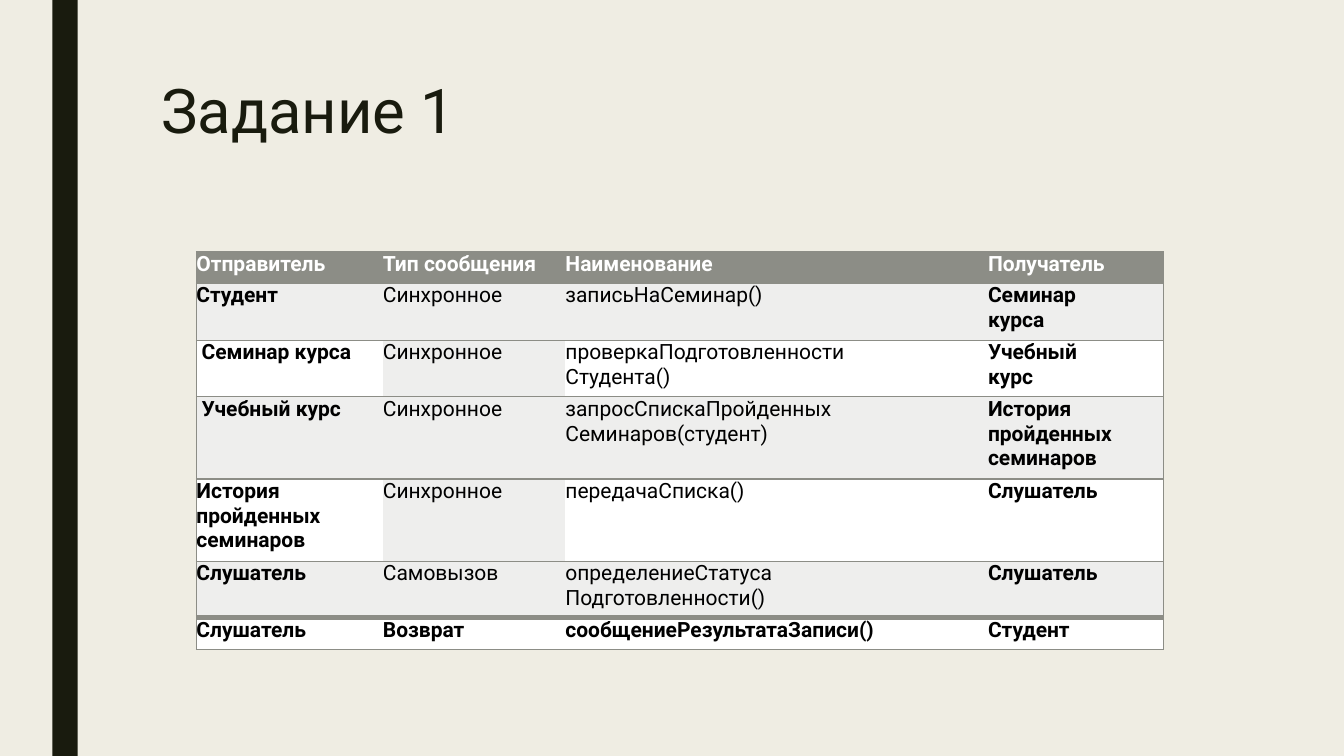
from dataclasses import dataclass

from lxml import etree
from pptx import Presentation
from pptx.dml.color import RGBColor
from pptx.enum.shapes import MSO_SHAPE
from pptx.enum.text import MSO_ANCHOR, MSO_AUTO_SIZE, PP_ALIGN
from pptx.oxml.ns import qn
from pptx.util import Cm, Pt

RECTANGLE = MSO_SHAPE.RECTANGLE
TOP = MSO_ANCHOR.TOP
NO_AUTOFIT = MSO_AUTO_SIZE.NONE
LEFT = PP_ALIGN.LEFT
JUSTIFY = PP_ALIGN.JUSTIFY
TITLE_ONLY = 5


@dataclass(frozen=True)
class Theme:
    font: str = "Roboto"
    title_size: int = 44
    table_size: int = 15
    background: str = "EFEDE3"
    dark: str = "191B0E"
    grey: str = "8C8D86"
    band: str = "EEEEED"
    white: str = "FFFFFF"
    black: str = "000000"
    thin_line: int = 1
    thick_line: int = 4


THEME = Theme()

# Each line break starts a new paragraph
MESSAGES = [
    ("Отправитель", "Тип сообщения", "Наименование", "Получатель"),
    ("Студент", "Синхронное", "записьНаСеминар()", "Семинар\nкурса"),
    (" Семинар курса", "Синхронное", "проверкаПодготовленности\nСтудента()", "Учебный\nкурс"),
    (" Учебный курс", "Синхронное", "запросСпискаПройденных Семинаров(студент)",
     "История\nпройденных семинаров"),
    ("История пройденных\nсеминаров", "Синхронное", "передачаСписка()", "Слушатель"),
    ("Слушатель", "Самовызов", "определениеСтатуса\nПодготовленности()", "Слушатель"),
    ("Слушатель", "Возврат", "сообщениеРезультатаЗаписи()", "Студент"),
]
COLUMN_WIDTHS = (4.7, 4.6, 10.65, 4.43)
ROW_HEIGHTS = (0.79, 1.43, 1.43, 2.07, 2.07, 1.43, 0.79)
LAST_ROW = len(MESSAGES) - 1
LAST_COLUMN = len(COLUMN_WIDTHS) - 1


def color(value):
    return RGBColor.from_string(value)


def format_runs(paragraph, size, text_color, bold=False):
    for run in paragraph.runs:
        run.font.name = THEME.font
        run.font.size = Pt(size)
        run.font.bold = bold
        run.font.color.rgb = color(text_color)


def add_side_bar(slide, left, top, width, height):
    bar = slide.shapes.add_shape(RECTANGLE, left, top, width, height)
    bar.shadow.inherit = False
    bar.fill.solid()
    bar.fill.fore_color.rgb = color(THEME.dark)
    bar.line.fill.background()


def place_title(slide, text, left, top, width, height):
    title = slide.shapes.title
    title.left, title.top, title.width, title.height = left, top, width, height
    frame = title.text_frame
    frame.text = text
    frame.word_wrap = True
    frame.auto_size = NO_AUTOFIT
    frame.vertical_anchor = TOP
    paragraph = frame.paragraphs[0]
    paragraph.alignment = LEFT
    paragraph.line_spacing = 0.89
    format_runs(paragraph, THEME.title_size, THEME.dark)


def set_borders(cell, row, column):
    top = THEME.thick_line if row == LAST_ROW else THEME.thin_line
    bottom = THEME.thick_line if row == LAST_ROW - 1 else THEME.thin_line
    left = THEME.thin_line if column == 0 else 0
    right = THEME.thin_line if column == LAST_COLUMN else 0
    properties = cell._tc.get_or_add_tcPr()
    for side, width in (("L", left), ("R", right), ("T", top), ("B", bottom)):
        line = etree.SubElement(properties, qn(f"a:ln{side}"), w=str(Pt(width)))
        if width:
            fill = etree.SubElement(line, qn("a:solidFill"))
            etree.SubElement(fill, qn("a:srgbClr"), val=THEME.grey)
        else:
            etree.SubElement(line, qn("a:noFill"))


def cell_fill(row, column):
    if row == 0:
        return THEME.grey
    if row % 2 or (column == 1 and row < LAST_ROW):
        return THEME.band
    return THEME.white


def format_cell(cell, text, row, column):
    cell.margin_left = cell.margin_right = cell.margin_top = cell.margin_bottom = 0
    # Borders stand before the fill in the cell properties
    set_borders(cell, row, column)
    cell.fill.solid()
    cell.fill.fore_color.rgb = color(cell_fill(row, column))
    cell.text_frame.text = text
    bold = row in (0, LAST_ROW) or column in (0, LAST_COLUMN)
    text_color = THEME.white if row == 0 else THEME.black
    for paragraph in cell.text_frame.paragraphs:
        paragraph.alignment = JUSTIFY
        format_runs(paragraph, THEME.table_size, text_color, bold)


def add_message_table(slide, left, top):
    width, height = Cm(sum(COLUMN_WIDTHS)), Cm(sum(ROW_HEIGHTS))
    table = slide.shapes.add_table(
        len(MESSAGES), len(COLUMN_WIDTHS), left, top, width, height).table
    for column, column_width in zip(table.columns, COLUMN_WIDTHS):
        column.width = Cm(column_width)
    for row, row_height in zip(table.rows, ROW_HEIGHTS):
        row.height = Cm(row_height)
    for row, message in enumerate(MESSAGES):
        for column, text in enumerate(message):
            format_cell(table.cell(row, column), text, row, column)


def main():
    presentation = Presentation()
    presentation.slide_width = Cm(33.87)
    presentation.slide_height = Cm(19.05)
    slide = presentation.slides.add_slide(presentation.slide_layouts[TITLE_ONLY])
    slide.background.fill.solid()
    slide.background.fill.fore_color.rgb = color(THEME.background)

    # Bar down the left side
    add_side_bar(slide, Cm(1.32), Cm(0), Cm(0.64), presentation.slide_height)
    # Heading
    place_title(slide, "Задание 1", Cm(3.81), Cm(1.9), Cm(26.67), Cm(4.11))
    # Messages between objects
    add_message_table(slide, Cm(4.95), Cm(6.35))

    presentation.save("out.pptx")


if __name__ == "__main__":
    main()
